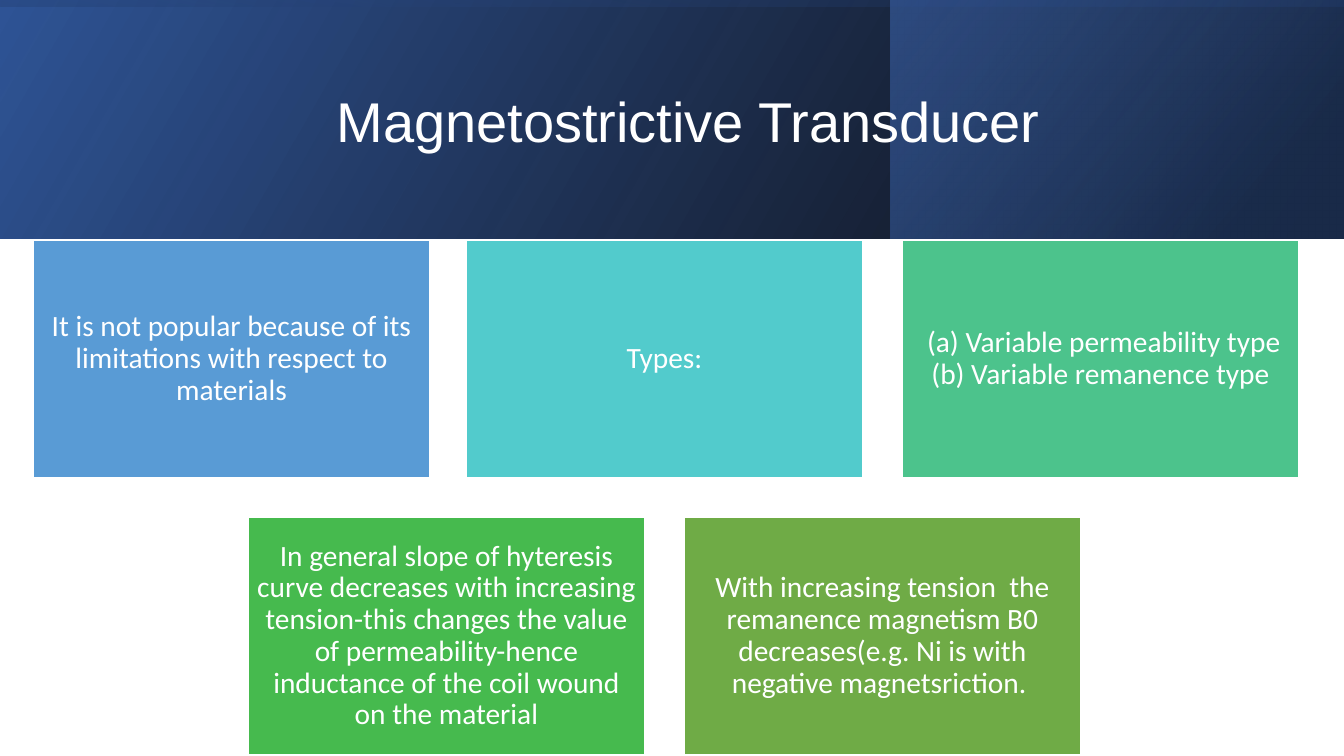
from lxml import etree
from pptx import Presentation
from pptx import util as u
from pptx.dml.color import RGBColor
from pptx.enum import shapes, text
from pptx.oxml.ns import qn

WIDTH, HEIGHT = 1344, 756
PX = 12192000 / WIDTH
COLORS = {
    "white": "FFFFFF", "black": "000000", "navy": "1F3864",
    "royal": "2F5496", "azure": "4472C4",
    "blue": "599BD5", "teal": "52CBCC", "mint": "4CC38C",
    "green": "46BA4E", "olive": "6FAB46",
}
# Each row holds (fill, wording, horizontal nudge)
CARD_ROWS = [
    [("blue", "It is not popular because of its limitations with respect to materials", 3),
     ("teal", "Types:", 0),
     ("mint", " (a) Variable permeability type (b) Variable remanence type", 0)],
    [("green", "In general slope of hyteresis curve decreases with increasing "
      "tension-this changes the value of permeability-hence inductance of the "
      "coil wound on the material", 0),
     ("olive", "With increasing tension  the remanence magnetism B0 "
      "decreases(e.g. Ni is with negative magnetsriction. ", 0)],
]


def px(length):
    return u.Emu(round(length * PX))


def color(name):
    return RGBColor.from_string(COLORS[name])


def add_rectangle(slide, box):
    shape = slide.shapes.add_shape(shapes.MSO_SHAPE.RECTANGLE, *map(px, box))
    shape.shadow.inherit = False
    return shape


def write_text(shape, wording, *, size, font, inset_x, inset_y):
    frame = shape.text_frame
    frame.word_wrap = True
    frame.vertical_anchor = text.MSO_ANCHOR.MIDDLE
    frame.margin_left = frame.margin_right = px(inset_x)
    frame.margin_top = frame.margin_bottom = px(inset_y)
    paragraph = frame.paragraphs[0]
    paragraph.alignment = text.PP_ALIGN.CENTER
    paragraph.line_spacing = 0.9
    run = paragraph.add_run()
    run.text = wording
    run.font.size = u.Pt(size)
    run.font.name = font
    run.font.color.rgb = color("white")


def add_gradient_panel(slide, box, stops, angle, rotation=0):
    """Mirrored rectangle; stops are (position %, colour, opacity %)."""
    shape = add_rectangle(slide, box)
    shape.rotation = rotation
    shape.line.fill.background()
    properties = shape._element.spPr
    properties.find(qn("a:xfrm")).set("flipH", "1")
    gradient = etree.Element(qn("a:gradFill"))
    stop_list = etree.SubElement(gradient, qn("a:gsLst"))
    for position, name, opacity in stops:
        stop = etree.SubElement(stop_list, qn("a:gs"), pos=str(position * 1000))
        tint = etree.SubElement(stop, qn("a:srgbClr"), val=COLORS[name])
        etree.SubElement(tint, qn("a:alpha"), val=str(opacity * 1000))
    etree.SubElement(gradient, qn("a:lin"), ang=str(angle * 60000), scaled="0")
    properties.find(qn("a:prstGeom")).addnext(gradient)


def add_header(slide, left, top, width, height):
    # Base gradient, right-hand panel, then a quarter-turned overlay
    add_gradient_panel(slide, (left, top, width, height),
                       [(0, "black", 95), (100, "royal", 100)], 330)
    add_gradient_panel(slide, (left + 891, top, 452, height),
                       [(0, "navy", 67), (19, "navy", 67), (100, "azure", 47)], 320)
    shift = (width - height) / 2
    add_gradient_panel(slide, (left + shift, top - shift, height, width),
                       [(0, "royal", 15), (23, "royal", 15),
                        (99, "black", 44), (100, "black", 44)], 350, rotation=270)
    # Title
    title = slide.shapes.add_textbox(px(left + 152), px(top + 38), px(1072), px(173))
    write_text(title, "Magnetostrictive Transducer", size=40, font="Arial",
               inset_x=10, inset_y=5)


def add_cards(slide, left, top, width):
    card_width, card_height, gap = 397, 238, 39
    for row, cards in enumerate(CARD_ROWS):
        row_width = len(cards) * (card_width + gap) - gap
        start = left + (width - row_width) / 2
        for column, (fill, wording, nudge) in enumerate(cards):
            card = add_rectangle(slide, (start + column * (card_width + gap) + nudge,
                                         top + row * (card_height + gap),
                                         card_width, card_height))
            card.fill.solid()
            card.fill.fore_color.rgb = color(fill)
            card.line.color.rgb = color("white")
            card.line.width = u.Pt(1)
            write_text(card, wording, size=21, font="Calibri", inset_x=9, inset_y=9)


def main():
    presentation = Presentation()
    presentation.slide_width, presentation.slide_height = px(WIDTH), px(HEIGHT)
    slide = presentation.slides.add_slide(presentation.slide_layouts[6])
    add_header(slide, 0, 0, WIDTH, 239)
    add_cards(slide, 30, 240, 1269)
    presentation.save("out.pptx")


if __name__ == "__main__":
    main()
